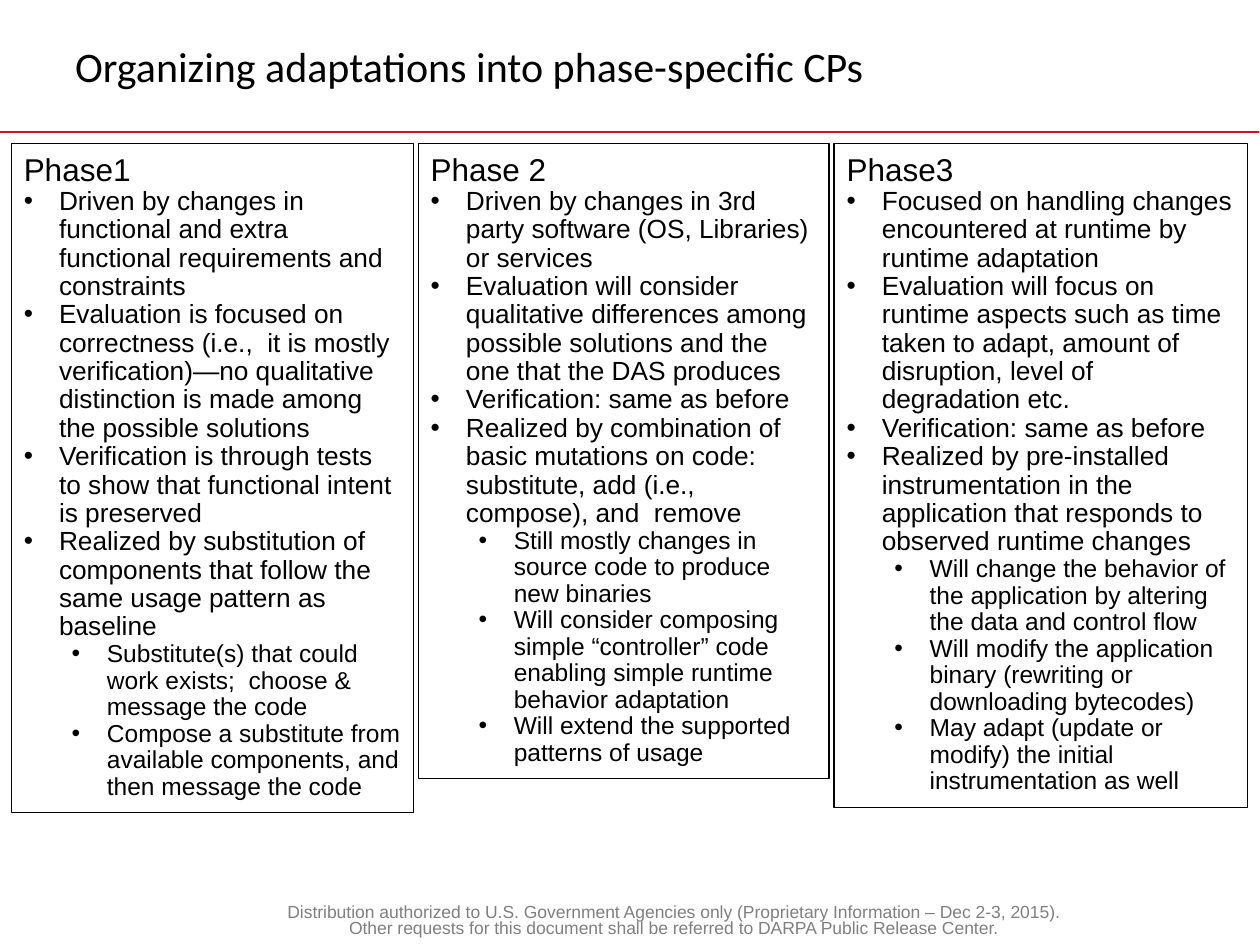
"""Build the slide that sorts adaptations into three phases."""
from dataclasses import dataclass

from lxml.etree import SubElement
from pptx import Presentation
from pptx.dml.color import RGBColor
from pptx.enum.shapes import MSO_CONNECTOR, MSO_SHAPE
from pptx.enum.text import MSO_ANCHOR, MSO_AUTO_SIZE, PP_ALIGN
from pptx.oxml.ns import qn
from pptx.util import Inches, Pt


@dataclass(frozen=True)
class Theme:
    ink: RGBColor = RGBColor(0, 0, 0)
    rule: RGBColor = RGBColor(0xCE, 0x11, 0x26)
    muted: RGBColor = RGBColor(0x80, 0x80, 0x80)
    title: Pt = Pt(24)
    heading: Pt = Pt(18)
    levels: tuple = (Pt(15), Pt(14))
    footer: Pt = Pt(10)
    title_font: str = "Calibri"
    body_font: str = "Arial"


THEME = Theme()
INDENTS = (0.28, 0.66)
HANGING = 0.28
PHASES = [
    (0.09, 3.19, 5.31, "Phase1", [
        (0, "Driven by changes in functional and extra functional requirements and constraints"),
        (0, "Evaluation is focused on correctness (i.e.,  it is mostly verification)—no qualitative "
            "distinction is made among the possible solutions"),
        (0, "Verification is through tests to show that functional intent is preserved"),
        (0, "Realized by substitution of components that follow the same usage pattern as baseline"),
        (1, "Substitute(s) that could work exists;  choose & message the code"),
        (1, "Compose a substitute from available components, and then message the code"),
    ]),
    (3.32, 3.26, 5.04, "Phase 2", [
        (0, "Driven by changes in 3rd party software (OS, Libraries) or services"),
        (0, "Evaluation will consider qualitative differences among possible solutions and the one "
            "that the DAS produces"),
        (0, "Verification: same as before"),
        (0, "Realized by combination of basic mutations on code: substitute, add (i.e., compose), "
            "and  remove"),
        (1, "Still mostly changes in source code to produce new binaries"),
        (1, "Will consider composing simple “controller” code enabling simple runtime behavior "
            "adaptation"),
        (1, "Will extend the supported patterns of usage"),
    ]),
    (6.62, 3.28, 5.27, "Phase3", [
        (0, "Focused on handling changes encountered at runtime by runtime adaptation"),
        (0, "Evaluation will focus on runtime aspects such as time taken to adapt, amount of "
            "disruption, level of degradation etc."),
        (0, "Verification: same as before"),
        (0, "Realized by pre-installed instrumentation in the application that responds to observed "
            "runtime changes"),
        (1, "Will change the behavior of the application by altering the data and control flow"),
        (1, "Will modify the application binary (rewriting or downloading bytecodes)"),
        (1, "May adapt (update or modify) the initial instrumentation as well"),
    ]),
]


def set_attrs(obj, **values):
    for name, value in values.items():
        setattr(obj, name, value)


def write(p, text, size, color=THEME.ink, font=THEME.body_font, **layout):
    r = p.add_run()
    r.text = text
    set_attrs(r.font, size=size, name=font)
    r.font.color.rgb = color
    set_attrs(p, **layout)


prs = Presentation()
set_attrs(prs, slide_width=Inches(10), slide_height=Inches(7.5))
s = prs.slides.add_slide(prs.slide_layouts[5])

rule = s.shapes.add_connector(MSO_CONNECTOR.STRAIGHT, Inches(0), Inches(1.05), Inches(9.99), Inches(1.05))
rule.line.color.rgb = THEME.rule
rule.line.width = Pt(1)
SubElement(rule._element.spPr, qn("a:effectLst"))

footer = s.shapes.add_textbox(Inches(2.11), Inches(7.13), Inches(6.47), Inches(0.31))
footer.text_frame.word_wrap = True
write(footer.text_frame.paragraphs[0],
      "Distribution authorized to U.S. Government Agencies only (Proprietary Information – Dec 2-3, 2015). "
      "Other requests for this document shall be referred to DARPA Public Release Center.",
      THEME.footer, THEME.muted, alignment=PP_ALIGN.CENTER, line_spacing=0.8)

title = s.shapes.title
set_attrs(title, left=Inches(0.13), top=Inches(0.27), width=Inches(7.19), height=Inches(0.51))
set_attrs(title.text_frame, word_wrap=True, auto_size=MSO_AUTO_SIZE.NONE, vertical_anchor=MSO_ANCHOR.MIDDLE,
          margin_left=Inches(0.07), margin_right=Inches(0.07),
          margin_top=Inches(0.04), margin_bottom=Inches(0.04))
write(title.text_frame.paragraphs[0], "Organizing adaptations into phase-specific CPs",
      THEME.title, font=THEME.title_font, alignment=PP_ALIGN.CENTER)

for left, width, height, heading, bullets in PHASES:
    sp = s.shapes.add_shape(MSO_SHAPE.RECTANGLE, Inches(left), Inches(1.14), Inches(width), Inches(height))
    sp.shadow.inherit = False
    sp.fill.background()
    sp.line.color.rgb = THEME.ink
    sp.line.width = Pt(0.75)
    tf = sp.text_frame
    set_attrs(tf, word_wrap=True, auto_size=MSO_AUTO_SIZE.SHAPE_TO_FIT_TEXT, vertical_anchor=MSO_ANCHOR.TOP)
    write(tf.paragraphs[0], heading, THEME.heading, alignment=PP_ALIGN.LEFT)
    for level, text in bullets:
        p = tf.add_paragraph()
        pPr = p._p.get_or_add_pPr()
        pPr.set("marL", str(Inches(INDENTS[level])))
        pPr.set("indent", str(-Inches(HANGING)))
        SubElement(pPr, qn("a:buFont"), typeface=THEME.body_font)
        SubElement(pPr, qn("a:buChar"), char="•")
        write(p, text, THEME.levels[level], alignment=PP_ALIGN.LEFT, level=level, line_spacing=0.9)

prs.save("out.pptx")
